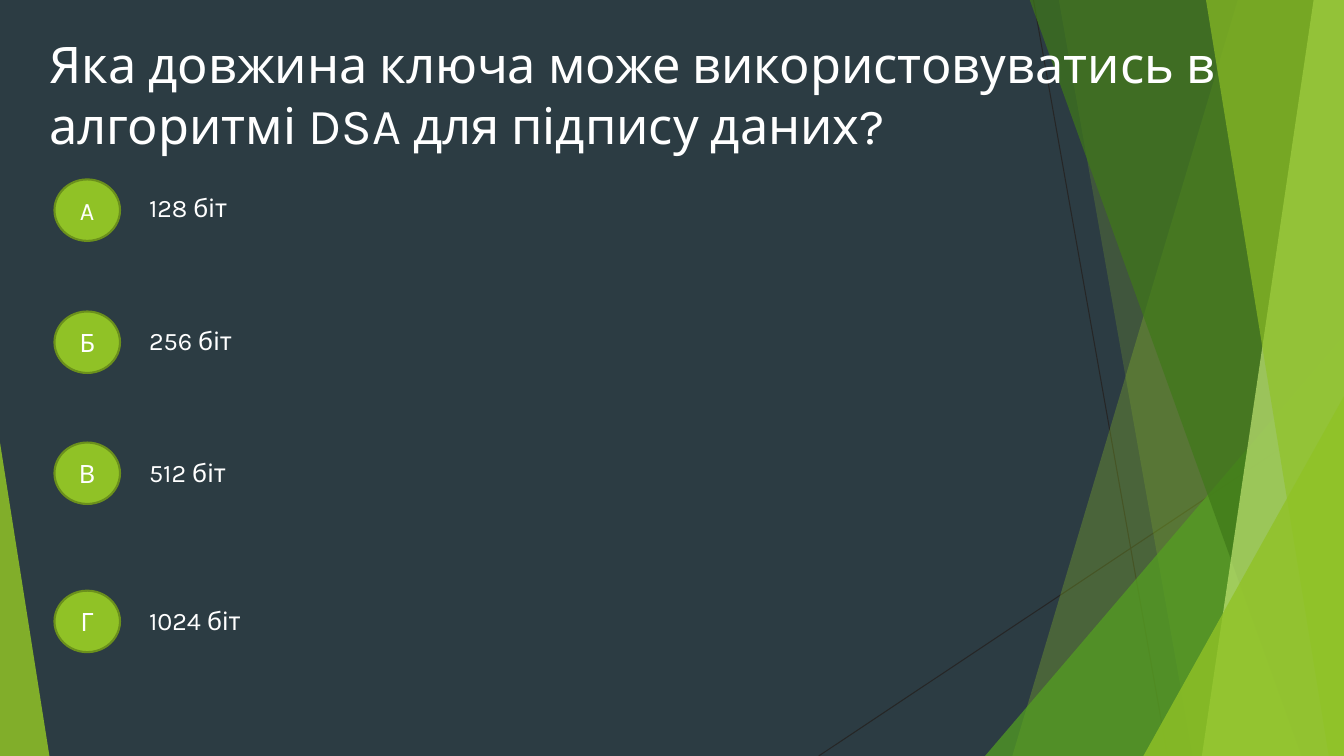
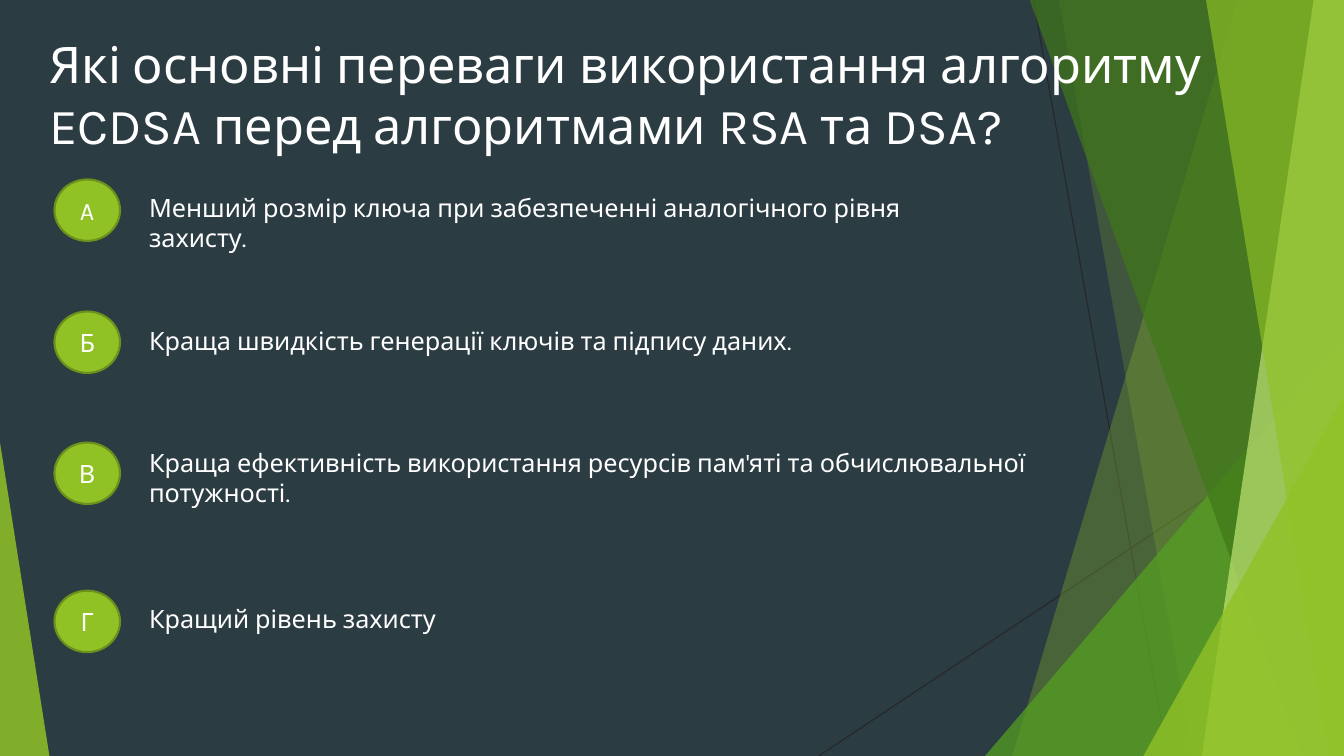
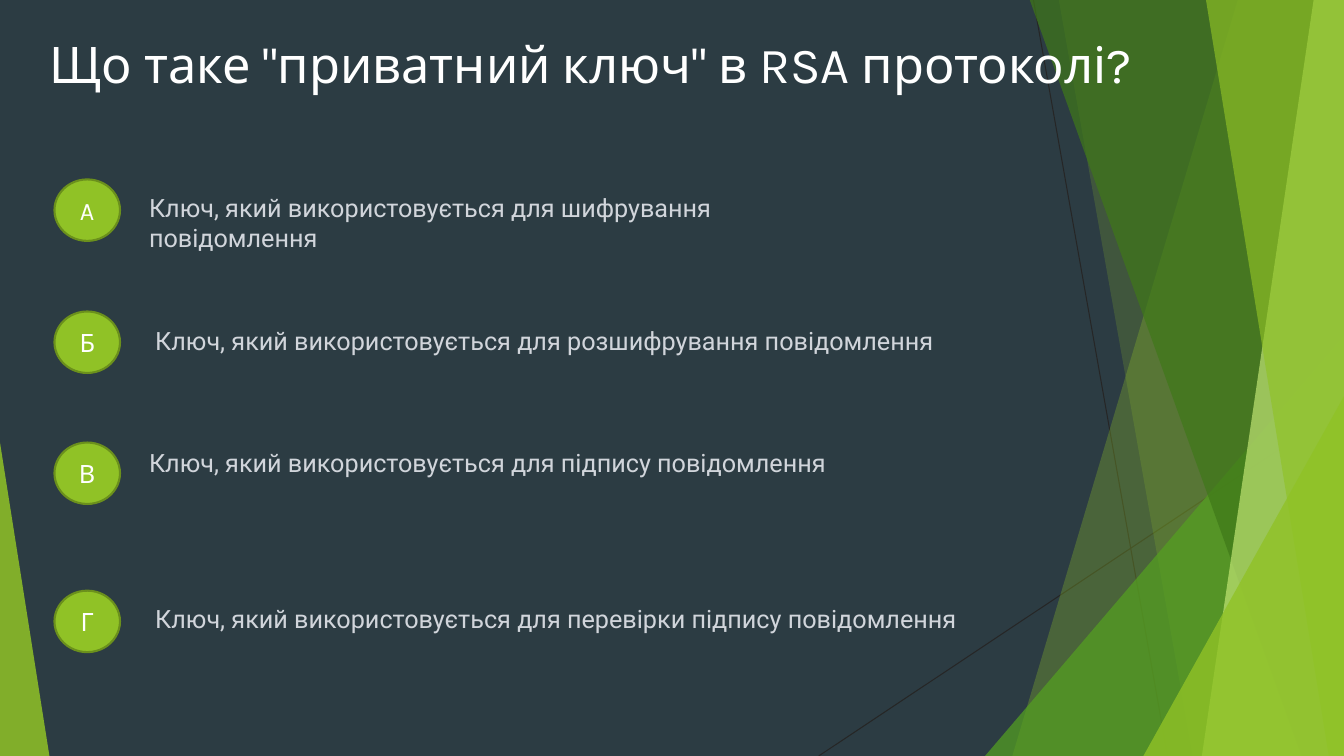
from dataclasses import dataclass

from lxml.etree import SubElement
from pptx import Presentation
from pptx.dml.color import RGBColor as RGB
from pptx.enum.shapes import MSO_CONNECTOR as LINE, MSO_SHAPE as SHAPE
from pptx.enum.text import MSO_ANCHOR as ANCHOR, MSO_AUTO_SIZE as AUTO, PP_ALIGN as ALIGN
from pptx.oxml.ns import qn
from pptx.util import Inches, Pt


@dataclass(frozen=True)
class Theme:
    background: str = "2C3C43"
    white: str = "FFFFFF"
    grey: str = "D1D5DB"
    dark: str = "262626"
    lime: str = "90C226"
    olive: str = "6B901C"
    pale: str = "C0E474"
    green: str = "54A021"
    forest: str = "3F7819"
    font: str = "Karla"
    alt_font: str = "Roboto"
    title_size: int = 36
    body_size: int = 18


T = Theme()
WIDTH, HEIGHT = 13.33, 7.5
TOP = -0.01
LETTERS = "AБВГ"
ROW_TOPS = (1.78, 3.09, 4.39, 5.86)
TITLE_BOX = (0.39, 0.28, 12.48)
BADGE_LEFT, BADGE_W, BADGE_H = 0.54, 0.65, 0.61
ANSWER_LEFT = 1.38
LINE_H = 0.4


def paint(sp, color, alpha):
    sp.shadow.inherit = False
    sp.fill.solid()
    sp.fill.fore_color.rgb = RGB.from_string(color)
    sp.line.fill.background()
    clr = sp.element.xpath("./p:spPr/a:solidFill/a:srgbClr")[0]
    SubElement(clr, qn("a:alpha")).set("val", str(alpha * 1000))


def add_ray(s, start, end):
    ray = s.shapes.add_connector(LINE.STRAIGHT, *map(Inches, start + end))
    ray.line.color.rgb = RGB.from_string(T.dark)
    ray.line.width = Pt(0.75)
    SubElement(ray.element.spPr, qn("a:effectLst"))


def add_facet(s, top_x, bottom_x, color, alpha):
    corners = [(top_x, TOP), (WIDTH, TOP), (WIDTH, HEIGHT), (bottom_x, HEIGHT)]
    points = [(Inches(x), Inches(y)) for x, y in corners]
    outline = s.shapes.build_freeform(*points[0], scale=1.0)
    outline.add_line_segments(points[1:], close=True)
    paint(outline.convert_to_shape(), color, alpha)


def add_corner(s, left, top, right, apex, color, alpha):
    box = (left, top, right - left, HEIGHT - top)
    sp = s.shapes.add_shape(SHAPE.ISOSCELES_TRIANGLE, *map(Inches, box))
    sp.adjustments[0] = apex
    paint(sp, color, alpha)


def add_facets(s):
    add_ray(s, (10.25, 0), (11.58, HEIGHT))
    add_ray(s, (WIDTH, 4.03), (8.12, HEIGHT))
    add_facet(s, 12.28, 10.04, T.lime, 30)
    add_facet(s, 10.5, 11.83, T.lime, 20)
    add_corner(s, 9.77, 3.33, WIDTH, 1, T.green, 72)
    add_facet(s, 10.21, 12.91, T.forest, 70)
    add_facet(s, 13.03, 11.92, T.pale, 70)
    add_facet(s, 11.96, 13.18, T.lime, 65)
    add_corner(s, 11.34, 3.93, WIDTH, 1, T.lime, 80)
    add_corner(s, 0, 4.39, 0.49, 0, T.lime, 85)


def build_master(prs, s):
    master = prs.slide_master
    master.background.fill.solid()
    master.background.fill.fore_color.rgb = RGB.from_string(T.background)
    add_facets(s)
    for number, sp in enumerate(list(s.shapes), 100):
        sp.element.xpath(".//p:cNvPr")[0].set("id", str(number))
        master.shapes.element.append(sp.element)


def write(tf, text, size, font=T.font, color=T.white):
    tf.word_wrap = True
    p = tf.paragraphs[0]
    p.text = text
    p.font.size = Pt(size)
    p.font.name = font
    p.font.color.rgb = RGB.from_string(color)
    return p


def add_text(s, box, text, size, font=T.font, color=T.white):
    tf = s.shapes.add_textbox(*map(Inches, box)).text_frame
    write(tf, text, size, font, color)
    tf.auto_size = AUTO.SHAPE_TO_FIT_TEXT


def add_badge(s, top, letter):
    box = (BADGE_LEFT, top, BADGE_W, BADGE_H)
    sp = s.shapes.add_shape(SHAPE.OVAL, *map(Inches, box))
    sp.shadow.inherit = False
    sp.fill.solid()
    sp.fill.fore_color.rgb = RGB.from_string(T.lime)
    sp.line.color.rgb = RGB.from_string(T.olive)
    sp.line.width = Pt(1.5)
    sp.text_frame.vertical_anchor = ANCHOR.MIDDLE
    write(sp.text_frame, letter, T.body_size).alignment = ALIGN.CENTER


def add_question(s, title, title_h, answers, font=T.font, color=T.white):
    add_text(s, (*TITLE_BOX, title_h), title, T.title_size)
    for top, letter in zip(ROW_TOPS, LETTERS):
        add_badge(s, top, letter)
    for top, (text, drop, width, lines) in zip(ROW_TOPS, answers):
        box = (ANSWER_LEFT, top + drop, width, LINE_H * lines)
        add_text(s, box, text, T.body_size, font, color)


QUESTIONS = [
    dict(
        title="Яка довжина ключа може використовуватись в алгоритмі DSA для підпису даних?",
        title_h=1.31,
        answers=[
            ("128 біт", 0.08, 1, 1),
            ("256 біт", 0.09, 8.06, 1),
            ("512 біт", 0.1, 8.97, 1),
            ("1024 біт", 0.1, 7.92, 1),
        ],
    ),
    dict(
        title="Які основні переваги використання алгоритму ECDSA перед алгоритмами RSA та DSA?",
        title_h=1.31,
        answers=[
            ("Менший розмір ключа при забезпеченні аналогічного рівня захисту.", 0.08, 8.23, 1),
            ("Краща швидкість генерації ключів та підпису даних.", 0.09, 8.06, 1),
            ("Краща ефективність використання ресурсів пам'яті та обчислювальної потужності.",
             0, 8.97, 1.75),
            ("Кращий рівень захисту", 0.08, 8.36, 1),
        ],
    ),
    dict(
        title='Що таке "приватний ключ" в RSA протоколі?',
        title_h=0.71,
        answers=[
            ("Ключ, який використовується для шифрування повідомлення", 0.08, 6.86, 1),
            (" Ключ, який використовується для розшифрування повідомлення", 0.09, 8.06, 1),
            ("Ключ, який використовується для підпису повідомлення", 0, 8.97, 1),
            (" Ключ, який використовується для перевірки підпису повідомлення", 0.08, 8.36, 1),
        ],
        font=T.alt_font,
        color=T.grey,
    ),
]


def main():
    prs = Presentation()
    prs.slide_width, prs.slide_height = Inches(WIDTH), Inches(HEIGHT)
    blank = prs.slide_layouts[6]
    slides = [prs.slides.add_slide(blank) for _ in QUESTIONS]
    build_master(prs, slides[0])
    for s, question in zip(slides, QUESTIONS):
        add_question(s, **question)
    prs.save("out.pptx")


main()
